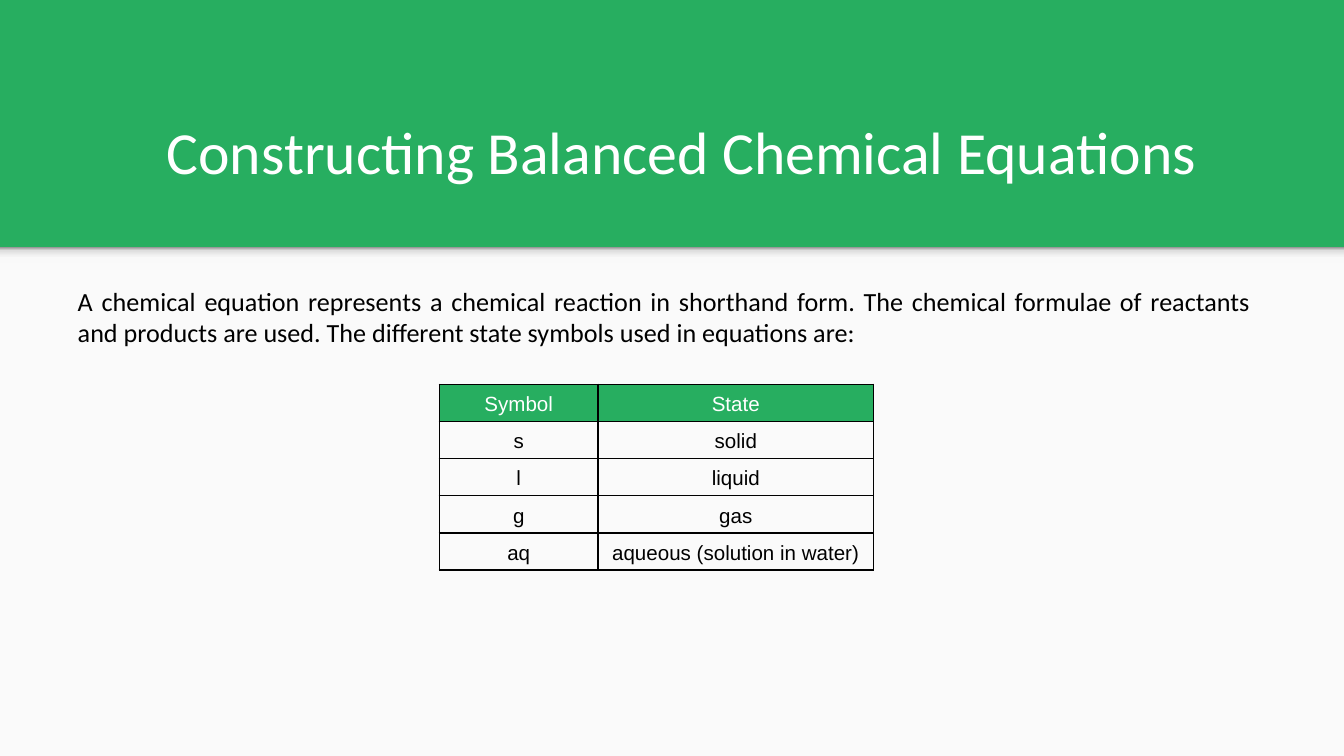
import dataclasses

import lxml.etree
import pptx
import pptx.dml.color
import pptx.enum.shapes
import pptx.enum.text
import pptx.oxml.ns
import pptx.util

Inches = pptx.util.Inches
Align = pptx.enum.text.PP_ALIGN
Anchor = pptx.enum.text.MSO_ANCHOR
qn = pptx.oxml.ns.qn

WIDTH = 10
HEIGHT = WIDTH * 9 / 16
GREEN, PAPER, WHITE, BLACK = "27AE60", "FAFAFA", "FFFFFF", "000000"
BANNER_HEIGHT = 1.84
SHADOW_STOPS = [(0, "F9F9F9"), (36, "F9F9F9"), (80, "DEDEDE"), (100, "999999")]

COLUMN_WIDTHS = [1.18, 2.05]
TABLE_HEIGHT = 1.38
STATES = [
    ("Symbol", "State"),
    ("s", "solid"),
    ("l", "liquid"),
    ("g", "gas"),
    ("aq", "aqueous (solution in water)"),
]


@dataclasses.dataclass
class Area:
    left: float
    top: float
    width: float
    height: float

    def lengths(self) -> list:
        return [Inches(value) for value in dataclasses.astuple(self)]


def colour(value: str) -> pptx.dml.color.RGBColor:
    return pptx.dml.color.RGBColor.from_string(value)


def paint(fill, color: str) -> None:
    fill.solid()
    fill.fore_color.rgb = colour(color)


def write(frame, text: str, *, size: float, font: str = "Calibri", color: str = BLACK,
          align=Align.LEFT, indent: float = 0, spacing: float = 1) -> None:
    para = frame.paragraphs[0]
    para.alignment = align
    para.line_spacing = spacing
    if indent:
        properties = para._p.get_or_add_pPr()
        properties.set("marL", str(Inches(indent)))
        properties.set("indent", "0")
    span = para.add_run()
    span.text = text
    span.font.size = pptx.util.Pt(size)
    span.font.name = font
    span.font.color.rgb = colour(color)


def prepare_frame(frame, anchor) -> None:
    frame.auto_size = pptx.enum.text.MSO_AUTO_SIZE.NONE
    frame.word_wrap = True
    frame.vertical_anchor = anchor
    frame.margin_left = frame.margin_right = Inches(0.1)
    frame.margin_top = frame.margin_bottom = Inches(0.1)


def add_rectangle(page, area: Area, fill: str):
    box = page.shapes.add_shape(pptx.enum.shapes.MSO_SHAPE.RECTANGLE, *area.lengths())
    box.shadow.inherit = False
    box.line.fill.background()
    paint(box.fill, fill)
    return box


def shade_upwards(box, stops: list) -> None:
    box.fill.gradient()
    box.fill.gradient_angle = 90
    stop_list = box._element.spPr.find(qn("a:gradFill")).find(qn("a:gsLst"))
    for old_stop in list(stop_list):
        stop_list.remove(old_stop)
    for percent, value in stops:
        stop = lxml.etree.SubElement(stop_list, qn("a:gs"), pos=str(percent * 1000))
        lxml.etree.SubElement(stop, qn("a:srgbClr"), val=value)


def add_borders(cell, color: str, points: float) -> None:
    properties = cell._tc.get_or_add_tcPr()
    for side in ("lnL", "lnR", "lnT", "lnB"):
        line = lxml.etree.SubElement(properties, qn(f"a:{side}"), w=str(pptx.util.Pt(points)))
        fill = lxml.etree.SubElement(line, qn("a:solidFill"))
        lxml.etree.SubElement(fill, qn("a:srgbClr"), val=color)


def fill_cell(cell, text: str, is_header: bool) -> None:
    add_borders(cell, BLACK, 1)
    if is_header:
        paint(cell.fill, GREEN)
    else:
        cell.fill.background()
    cell.margin_left = cell.margin_right = Inches(0.07)
    cell.margin_top = cell.margin_bottom = 0
    cell.vertical_anchor = Anchor.MIDDLE
    write(cell.text_frame, text, size=11, font="Arial", color=WHITE if is_header else BLACK,
          align=Align.CENTER, spacing=1.15)


def add_state_table(page, left: float, top: float) -> None:
    area = Area(left, top, sum(COLUMN_WIDTHS), TABLE_HEIGHT)
    table = page.shapes.add_table(len(STATES), len(COLUMN_WIDTHS), *area.lengths()).table
    table.first_row = table.horz_banding = False
    for column, width in zip(table.columns, COLUMN_WIDTHS):
        column.width = Inches(width)
    for row, texts in enumerate(STATES):
        for column, text in enumerate(texts):
            fill_cell(table.cell(row, column), text, is_header=row == 0)


def main() -> None:
    deck = pptx.Presentation()
    deck.slide_width, deck.slide_height = Inches(WIDTH), Inches(HEIGHT)
    page = deck.slides.add_slide(deck.slide_layouts[5])
    paint(page.background.fill, GREEN)

    add_rectangle(page, Area(0, BANNER_HEIGHT, WIDTH, HEIGHT - BANNER_HEIGHT), PAPER)
    shadow = add_rectangle(page, Area(0, BANNER_HEIGHT, WIDTH, 0.12), PAPER)
    shade_upwards(shadow, SHADOW_STOPS)

    title = page.shapes.title
    title.left, title.top, title.width, title.height = Area(1.02, 0.65, 8.15, 0.84).lengths()
    prepare_frame(title.text_frame, Anchor.BOTTOM)
    write(title.text_frame, "Constructing Balanced Chemical Equations", size=32, color=WHITE,
          indent=0.12)

    intro = page.shapes.add_textbox(*Area(0.36, 2.02, 9.05, 2.73).lengths())
    prepare_frame(intro.text_frame, Anchor.TOP)
    write(intro.text_frame,
          "A chemical equation represents a chemical reaction in shorthand form. "
          "The chemical formulae of reactants and products are used. "
          "The different state symbols used in equations are:",
          size=14, align=Align.JUSTIFY, indent=0.12)

    add_state_table(page, 3.27, 2.86)
    deck.save("out.pptx")


if __name__ == "__main__":
    main()
